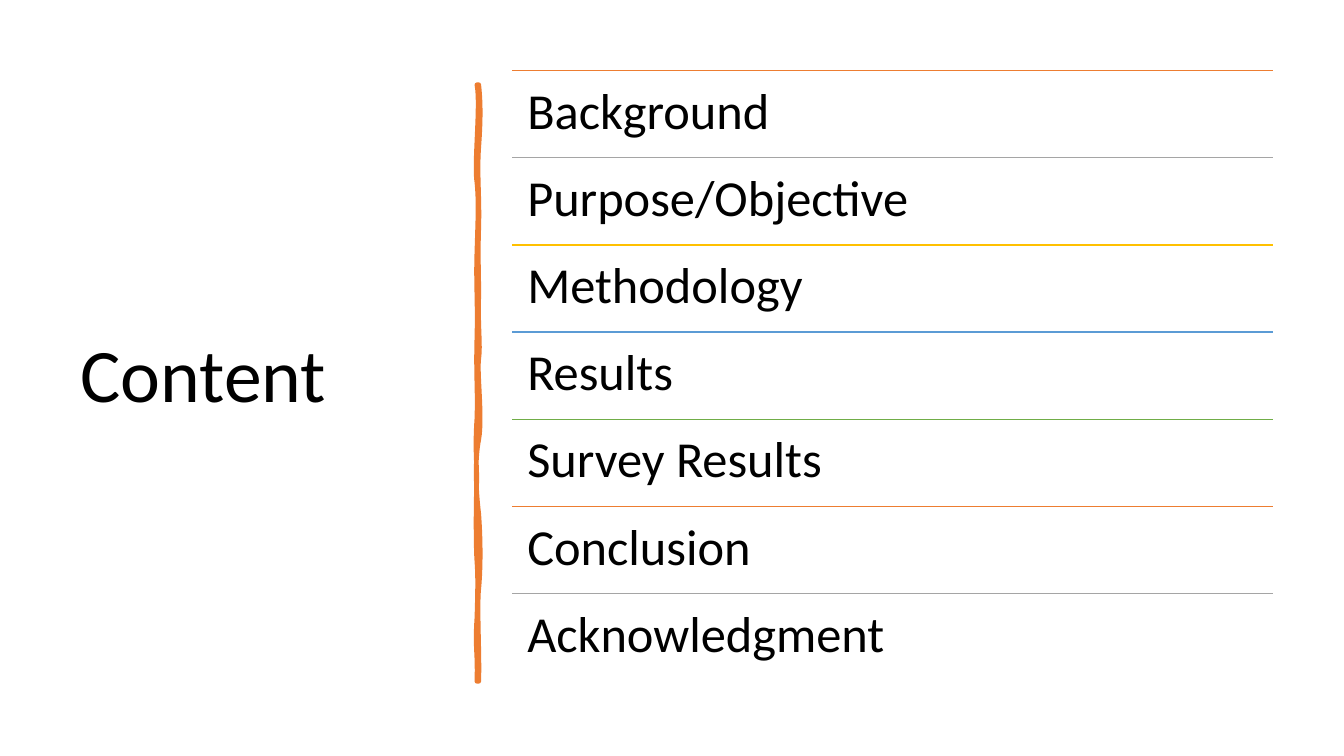
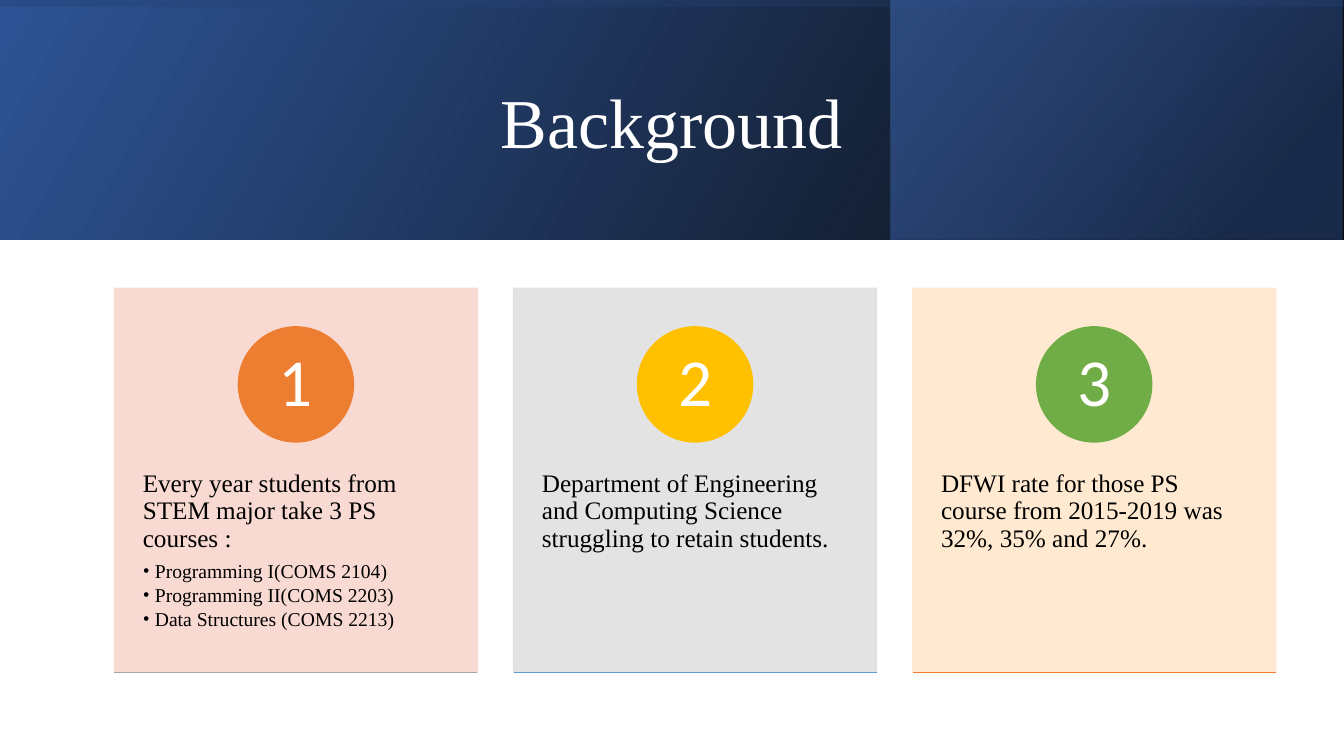
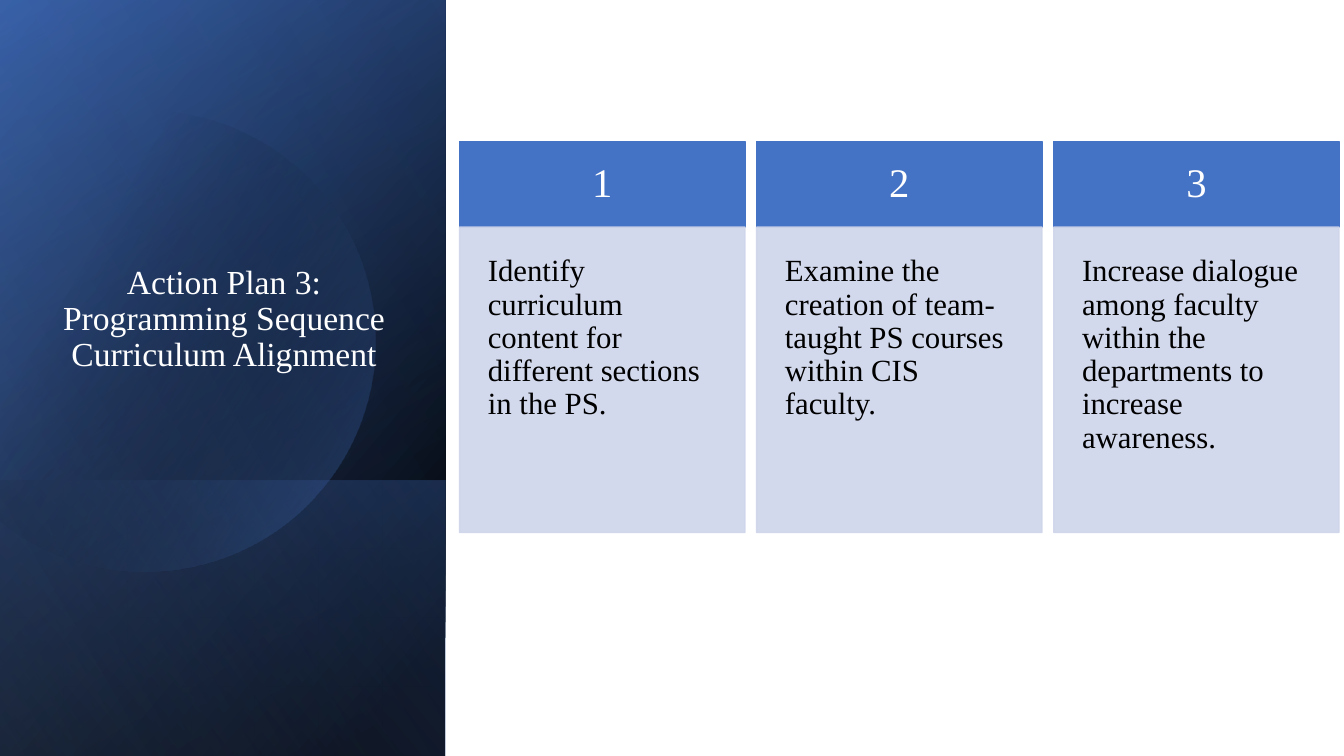
"""Builds three slides: a contents list, a background page and an action plan."""
from lxml import etree
from pptx import Presentation
from pptx.dml.color import RGBColor
from pptx.enum.shapes import MSO_CONNECTOR, MSO_SHAPE
from pptx.enum.text import MSO_ANCHOR, MSO_AUTO_SIZE, PP_ALIGN
from pptx.oxml.ns import qn
from pptx.util import Pt

SANS, SERIF = "Calibri", "Times New Roman"
BLACK, WHITE = "000000", "FFFFFF"
ORANGE, GRAY, GOLD, SKY, GREEN = "ED7D31", "A5A5A5", "FFC000", "5B9BD5", "70AD47"
BLUE, DEEP_BLUE, NAVY, PALE_BLUE = "4472C4", "2F5597", "203864", "8FAADC"
LAVENDER = "CFD5EA"

TOPICS = ["Background", "Purpose/Objective", "Methodology", "Results",
          "Survey Results", "Conclusion", "Acknowledgment"]
TOPIC_COLORS = [ORANGE, GRAY, GOLD, SKY, GREEN]

CARDS = [
    ("F8D7CE", ORANGE, GRAY, "Every year students from STEM major take 3 PS courses :",
     ["Programming I(COMS 2104)", "Programming II(COMS 2203)",
      "Data Structures (COMS 2213)"]),
    ("E1E1E1", GOLD, SKY,
     "Department of Engineering and Computing Science struggling to retain students.", []),
    ("FFE8CC", GREEN, ORANGE,
     "DFWI rate for those PS course from 2015-2019 was 32%, 35% and 27%.", []),
]

ACTIONS = [
    "Identify curriculum content for different sections in the PS.",
    "Examine the creation of team-taught PS courses within CIS faculty.",
    "Increase dialogue among faculty within the departments to increase awareness.",
]

BAND = (0, 0, 960, 171)
BAND_PANELS = [
    (BAND, 0, 330, [(0, BLACK, 96), (100, DEEP_BLUE, 100)]),
    ((636.3, 0, 322.8, 171), 0, 320, [(19, NAVY, 68), (100, BLUE, 48)]),
    (BAND, 270, 350, [(23, DEEP_BLUE, 16), (99, BLACK, 45)]),
]
SIDE = (0, 0, 318.2, 540)
SIDE_PANELS = [
    (SIDE, 90, 50, [(8, BLACK, 100), (100, DEEP_BLUE, 100)]),
    (SIDE, 90, 30, [(0, BLACK, 0), (99, BLUE, 46)]),
    ((0, 343, 318.2, 197), 90, 130, [(2, BLUE, 29), (100, BLACK, 30)]),
]
SIDE_SHEEN = (SIDE, 90, 120, [(0, BLACK, 0), (99, PALE_BLUE, 11)])

DISC_STOPS = [(29, BLACK, 0), (100, BLUE, 43)]
DISC = [
    (107.3, 79.2), (177.1, 80.6, 241.2, 127.4, 261.4, 198),
    (286.6, 285.8, 236.2, 376.6, 149, 401.8), (94.3, 417.6, 38.2, 403.9, -2.2, 370.1),
    (-10.8, 362.2), (-10.8, 126), (0, 115.9),
    (16.6, 102.2, 36, 92.2, 57.6, 85.7), (74.2, 81.4, 90.7, 79.2, 107.3, 79.2),
]
BRUSH = [
    (342, 60.5), (343.4, 73.4, 343.4, 85.7, 342, 105.1),
    (340.6, 124.6, 342.7, 140.4, 342, 162.7), (341.3, 185, 342, 188.6, 342, 211.7),
    (341.3, 234, 343.4, 246.2, 342, 256.3), (340.6, 266.4, 344.9, 298.1, 342, 313.9),
    (339.1, 329, 339.8, 348.5, 342, 367.2), (343.4, 385.9, 343.4, 406.1, 342, 420.5),
    (340.6, 434.2, 342.7, 468, 342, 486.7), (341.3, 486.7, 340.6, 486.7, 340.6, 486.7),
    (341.3, 465.1, 339.1, 463.7, 340.6, 441.4), (341.3, 419.8, 341.3, 410.4, 340.6, 401),
    (339.8, 391.7, 339.8, 356.4, 340.6, 343.4), (340.6, 330.5, 339.1, 320.4, 340.6, 298.8),
    (341.3, 277.9, 339.8, 267.8, 340.6, 241.2), (341.3, 214.6, 339.8, 202.3, 340.6, 180),
    (341.3, 157, 342, 144, 340.6, 130.3), (338.4, 117.4, 343.4, 74.9, 340.6, 60.5),
    (341.3, 60.5, 341.3, 60.5, 342, 60.5),
]


def rgb(value):
    return RGBColor.from_string(value)


def points(*lengths):
    return [Pt(length) for length in lengths]


def format_paragraph(paragraph, size, font, color, align=PP_ALIGN.LEFT, after=0):
    paragraph.alignment = align
    paragraph.line_spacing = 0.9
    paragraph.space_before = Pt(0)
    paragraph.space_after = Pt(after)
    paragraph.font.size = Pt(size)
    paragraph.font.name = font
    paragraph.font.color.rgb = rgb(color)


def write(frame, text, size, font, color, align=PP_ALIGN.LEFT, anchor=MSO_ANCHOR.TOP,
          inset=(7.2, 3.6), after=0):
    frame.word_wrap = True
    frame.auto_size = MSO_AUTO_SIZE.NONE
    frame.vertical_anchor = anchor
    frame.margin_left = frame.margin_right = Pt(inset[0])
    frame.margin_top = frame.margin_bottom = Pt(inset[1])
    frame.text = text
    format_paragraph(frame.paragraphs[0], size, font, color, align, after)


def add_bullet(frame, text):
    paragraph = frame.add_paragraph()
    paragraph.text = text
    paragraph.level = 1
    properties = paragraph._p.get_or_add_pPr()
    properties.set("marL", str(Pt(8.64)))
    properties.set("indent", str(Pt(-8.64)))
    etree.SubElement(properties, qn("a:buFont"), typeface=SERIF)
    etree.SubElement(properties, qn("a:buChar"), char="•")
    format_paragraph(paragraph, 14, SERIF, BLACK, after=2.1)


def set_title(slide, text, box, size, font, color, align):
    title = slide.shapes.title
    title.left, title.top, title.width, title.height = points(*box)
    write(title.text_frame, text, size, font, color, align, MSO_ANCHOR.MIDDLE)
    slide.shapes._spTree.append(title._element)


def add_block(slide, preset, box, color, opacity=100):
    block = slide.shapes.add_shape(preset, *points(*box))
    block.shadow.inherit = False
    block.fill.solid()
    block.fill.fore_color.rgb = block.line.color.rgb = rgb(color)
    block.line.width = Pt(1)
    if opacity < 100:
        for tone in list(block._element.spPr.iter(qn("a:srgbClr"))):
            etree.SubElement(tone, qn("a:alpha"), val=str(opacity * 1000))
    return block


def add_rule(slide, left, top, width, color):
    rule = slide.shapes.add_connector(
        MSO_CONNECTOR.STRAIGHT, *points(left, top, left + width, top))
    rule.line.color.rgb = rgb(color)
    rule.line.width = Pt(1)
    etree.SubElement(rule._element.spPr, qn("a:effectLst"))


def set_gradient(shape, angle, stops):
    shape.shadow.inherit = False
    shape.line.fill.background()
    gradient = etree.Element(qn("a:gradFill"), rotWithShape="1")
    stop_list = etree.SubElement(gradient, qn("a:gsLst"))
    for position, color, opacity in stops:
        stop = etree.SubElement(stop_list, qn("a:gs"), pos=str(position * 1000))
        tone = etree.SubElement(stop, qn("a:srgbClr"), val=color)
        etree.SubElement(tone, qn("a:alpha"), val=str(opacity * 1000))
    etree.SubElement(gradient, qn("a:lin"), ang=str(angle * 60000), scaled="0")
    shape._element.spPr.insert(2, gradient)


def add_panel(slide, box, rotation, angle, stops):
    left, top, width, height = box
    if rotation:
        left, top = left + (width - height) / 2, top + (height - width) / 2
        width, height = height, width
    panel = slide.shapes.add_shape(MSO_SHAPE.RECTANGLE, *points(left, top, width, height))
    panel.rotation = rotation
    panel._element.spPr.find(qn("a:xfrm")).set("flipH", "1")
    set_gradient(panel, angle, stops)


def add_outline(slide, outline):
    builder = slide.shapes.build_freeform(*points(*outline[0]), scale=1.0)
    builder.add_line_segments([points(*segment[-2:]) for segment in outline[1:]], close=True)
    shape = builder.convert_to_shape()
    shape.shadow.inherit = False
    sides = list(shape._element.spPr.iter(qn("a:lnTo")))
    for side, segment in zip(sides, outline[1:]):
        if len(segment) == 6:
            curve = etree.Element(qn("a:cubicBezTo"))
            for x, y in zip(segment[::2], segment[1::2]):
                etree.SubElement(curve, qn("a:pt"), x=str(Pt(x) - shape.left),
                                 y=str(Pt(y) - shape.top))
            side.getparent().replace(side, curve)
    return shape


def build_contents(slide):
    set_title(slide, "Content", (50.2, 50.2, 269.3, 440), 54, SANS, BLACK, PP_ALIGN.LEFT)
    brush = add_outline(slide, BRUSH)
    brush.fill.solid()
    brush.fill.fore_color.rgb = brush.line.color.rgb = rgb(ORANGE)
    brush.line.width = Pt(3.25)
    left, top, width, pitch = 365.8, 50.4, 543.6, 62.28
    for index, topic in enumerate(TOPICS):
        row_top = top + index * pitch
        add_rule(slide, left, row_top, width, TOPIC_COLORS[index % len(TOPIC_COLORS)])
        label = slide.shapes.add_textbox(*points(left, row_top, width, pitch))
        write(label.text_frame, topic, 36, SANS, BLACK, inset=(10.8, 10.8))


def build_background(slide):
    for panel in BAND_PANELS:
        add_panel(slide, *panel)
    set_title(slide, "Background", (0, 27.8, 960, 123.8), 50, SERIF, WHITE, PP_ALIGN.CENTER)
    top, width, height, pitch, badge_size = 205.9, 259.2, 274.3, 285.1, 82.2
    for index, (tint, badge_color, rule_color, text, courses) in enumerate(CARDS):
        left = 81.8 + index * pitch
        add_block(slide, MSO_SHAPE.RECTANGLE, (left, top, width, height), tint, 90)
        body = slide.shapes.add_textbox(*points(left, 310.5, width, 164.9)).text_frame
        write(body, text, 18, SERIF, BLACK, inset=(20.2, 25.9), after=6.3)
        for course in courses:
            add_bullet(body, course)
        badge_left = left + (width - badge_size) / 2
        badge = add_block(slide, MSO_SHAPE.OVAL,
                          (badge_left, 233.5, badge_size, badge_size), badge_color)
        write(badge.text_frame, str(index + 1), 48, SANS, WHITE, PP_ALIGN.CENTER,
              MSO_ANCHOR.MIDDLE, (0, 0))
        add_rule(slide, left, top + height, width, rule_color)


def build_action_plan(slide):
    for panel in SIDE_PANELS:
        add_panel(slide, *panel)
    set_gradient(add_outline(slide, DISC), 30, DISC_STOPS)
    add_panel(slide, *SIDE_SHEEN)
    set_title(slide, "Action Plan 3:\vProgramming Sequence Curriculum Alignment",
              (0.5, 135, 319, 186.5), 24, SERIF, WHITE, PP_ALIGN.CENTER)
    top, width, pitch, header_height, body_height = 101, 203.8, 212.2, 61.2, 218.2
    for index, action in enumerate(ACTIONS):
        left = 328.3 + index * pitch
        header = add_block(slide, MSO_SHAPE.RECTANGLE, (left, top, width, header_height), BLUE)
        write(header.text_frame, str(index + 1), 29, SERIF, WHITE, PP_ALIGN.CENTER,
              MSO_ANCHOR.MIDDLE, (15.8, 10))
        body = add_block(slide, MSO_SHAPE.RECTANGLE,
                         (left, top + header_height, width, body_height), LAVENDER, 90)
        write(body.text_frame, action, 22, SERIF, BLACK, inset=(20.2, 20.2))


def main():
    presentation = Presentation()
    presentation.slide_width, presentation.slide_height = points(960, 540)
    title_only = presentation.slide_layouts[5]
    for build in (build_contents, build_background, build_action_plan):
        build(presentation.slides.add_slide(title_only))
    presentation.save("out.pptx")


if __name__ == "__main__":
    main()
